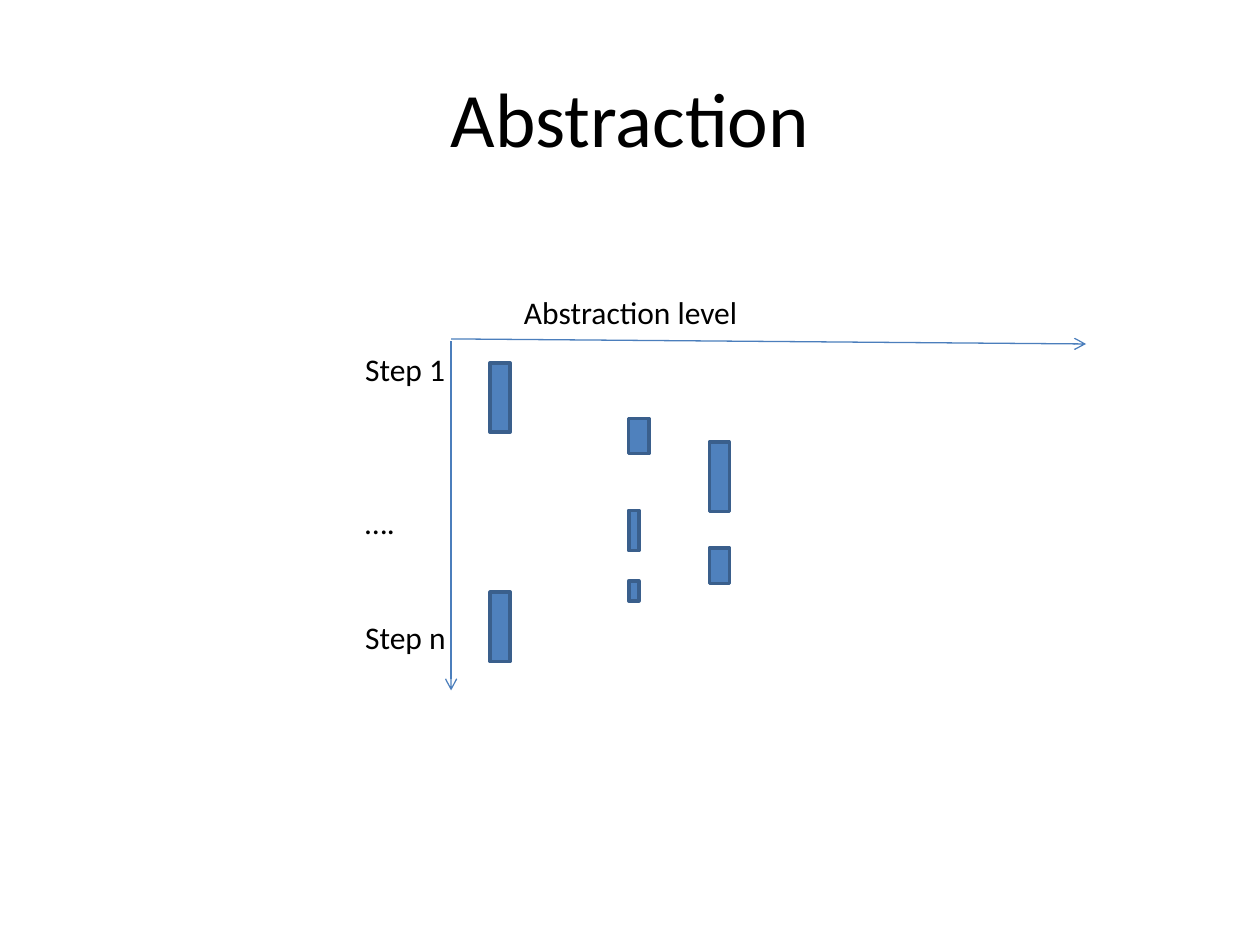
from lxml import etree
from pptx import Presentation
from pptx.dml.color import RGBColor
from pptx.enum.shapes import MSO_CONNECTOR as Connector, MSO_SHAPE as Shape
from pptx.enum.text import MSO_ANCHOR as Anchor, MSO_AUTO_SIZE as AutoSize, PP_ALIGN as Align
from pptx.oxml.ns import qn
from pptx.util import Inches, Pt

COLORS = {"text": "000000", "axis": "4B7EBC", "bar": "4F81BD", "edge": "3A5F8C"}
COLUMNS, ROWS = 100, 75


class DiagramSlide:
    font = "Calibri"
    label_size = 18

    def __init__(self, presentation):
        self.slide = presentation.slides.add_slide(presentation.slide_layouts[5])
        self.column = presentation.slide_width / COLUMNS
        self.row = presentation.slide_height / ROWS

    def grid(self, column, row):
        return round(column * self.column), round(row * self.row)

    def color(self, name):
        return RGBColor.from_string(COLORS[name])

    def format_text(self, paragraph, size, align):
        paragraph.alignment = align
        for run in paragraph.runs:
            run.font.name = self.font
            run.font.size = Pt(size)
            run.font.color.rgb = self.color("text")

    def title(self, text, column, row, width, height):
        shape = self.slide.shapes.title
        shape.left, shape.top = self.grid(column, row)
        shape.width, shape.height = self.grid(width, height)
        frame = shape.text_frame
        frame.text = text
        frame.vertical_anchor = Anchor.MIDDLE
        self.format_text(frame.paragraphs[0], 44, Align.CENTER)

    def labels(self, entries, column, row, width, height):
        shape = self.slide.shapes.add_textbox(*self.grid(column, row), *self.grid(width, height))
        frame = shape.text_frame
        frame.text = "\n".join(text for text, gap in entries)
        frame.word_wrap = True
        frame.auto_size = AutoSize.SHAPE_TO_FIT_TEXT
        for paragraph, (text, gap) in zip(frame.paragraphs, entries):
            paragraph.space_before = Pt(gap)
            self.format_text(paragraph, self.label_size, Align.LEFT)

    def arrow(self, start, end):
        connector = self.slide.shapes.add_connector(
            Connector.STRAIGHT, *self.grid(*start), *self.grid(*end))
        connector.line.color.rgb = self.color("axis")
        connector.line.width = Pt(0.75)
        properties = connector._element.spPr
        etree.SubElement(properties.find(qn("a:ln")), qn("a:tailEnd"), type="arrow")
        etree.SubElement(properties, qn("a:effectLst"))

    def bar(self, column, row, width, height):
        shape = self.slide.shapes.add_shape(
            Shape.RECTANGLE, *self.grid(column, row), *self.grid(width, height))
        shape.shadow.inherit = False
        shape.fill.solid()
        shape.fill.fore_color.rgb = self.color("bar")
        shape.line.color.rgb = self.color("edge")
        shape.line.width = Pt(2)


presentation = Presentation()
presentation.slide_width, presentation.slide_height = Inches(10), Inches(7.5)
diagram = DiagramSlide(presentation)

diagram.title("Abstraction", 5, 3, 90, 12.5)
diagram.arrow((35.8, 26.9), (86.2, 27.3))
diagram.labels([("Abstraction level", 0)], 40.6, 22.8, 22.8, 4)
diagram.arrow((35.8, 27.1), (35.8, 54.8))
line_height = 22
steps = [("Step 1", 0), ("….", 3 * line_height), ("Step n", 2 * line_height)]
diagram.labels(steps, 28, 27.3, 9.4, 25.2)

LEVELS = {
    38.9: [(28.8, 1.6, 5.5), (47, 1.6, 5.5)],
    49.9: [(33.2, 1.6, 2.8), (40.5, 0.8, 3.2), (46.1, 0.8, 1.6)],
    56.3: [(35.1, 1.6, 5.5), (43.5, 1.6, 2.8)],
}
for column, bars in LEVELS.items():
    for row, width, height in bars:
        diagram.bar(column, row, width, height)

presentation.save("out.pptx")
